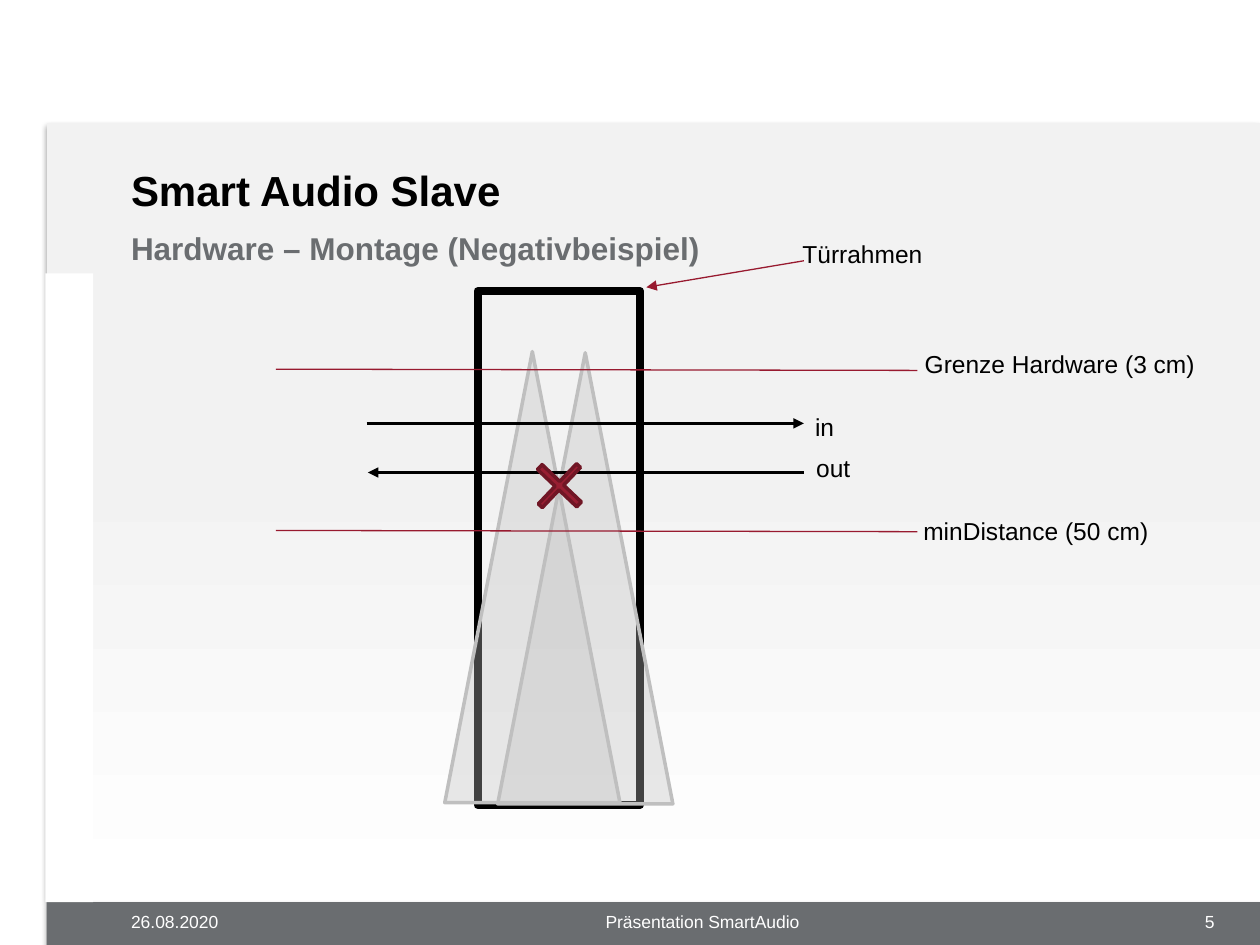
from lxml import etree
from pptx import Presentation
from pptx.dml.color import RGBColor
from pptx.enum.shapes import MSO_CONNECTOR, MSO_SHAPE
from pptx.enum.text import MSO_ANCHOR, MSO_AUTO_SIZE, PP_ALIGN
from pptx.oxml.ns import qn
from pptx.util import Inches, Pt

RECT, TRI, PLUS = MSO_SHAPE.RECTANGLE, MSO_SHAPE.ISOSCELES_TRIANGLE, MSO_SHAPE.CROSS
LINE = MSO_CONNECTOR.STRAIGHT
LEFT, MID, RIGHT = PP_ALIGN.LEFT, PP_ALIGN.CENTER, PP_ALIGN.RIGHT
TOP, LOW = MSO_ANCHOR.TOP, MSO_ANCHOR.BOTTOM
FIT = MSO_AUTO_SIZE.SHAPE_TO_FIT_TEXT

# The slide is a grid of 100 columns and 75 rows
COLS, ROWS, CELL = 100, 75, 0.1
HEX = {"black": "000000", "white": "FFFFFF", "pale": "F2F2F2", "slate": "6A6D70",
       "beam": "BFBFBF", "wine": "981A2F", "cross": "981E32", "edge": "701625"}


def grid(*cells):
    return [Inches(c * CELL) for c in cells]


def rgb(name):
    return RGBColor.from_string(HEX[name])


def sub(node, tag, **attrs):
    return etree.SubElement(node, qn(tag), attrs)


def add_shape(slide, kind, box, fill=None, line=None, width=1):
    shape = slide.shapes.add_shape(kind, *grid(*box))
    shape.shadow.inherit = False
    if fill:
        shape.fill.solid()
        shape.fill.fore_color.rgb = rgb(fill)
    else:
        shape.fill.background()
    if line:
        shape.line.color.rgb = rgb(line)
        shape.line.width = Pt(width)
    else:
        shape.line.fill.background()
    return shape


def add_panel(slide, box, fill):
    """Flat panel with a soft shadow below it."""
    panel = add_shape(slide, RECT, box, fill)
    glow = sub(panel._element.spPr.find(qn("a:effectLst")), "a:outerShdw",
               blurRad=str(Pt(3.1)), dist=str(Pt(1.8)), dir="5400000",
               algn="t", rotWithShape="0")
    sub(sub(glow, "a:srgbClr", val=HEX["black"]), "a:alpha", val="35000")
    return panel


def add_beam(slide, box):
    """See-through sensor cone."""
    beam = add_shape(slide, TRI, box, "beam", "beam", 2)
    tint = beam._element.spPr.find(qn("a:solidFill")).find(qn("a:srgbClr"))
    sub(tint, "a:alpha", val="35000")


def add_line(slide, ends, color, width, arrow=False):
    line = slide.shapes.add_connector(LINE, *grid(*ends))
    line.line.color.rgb = rgb(color)
    line.line.width = Pt(width)
    if arrow:
        sub(line.line._get_or_add_ln(), "a:tailEnd", type="triangle")
    sub(line._element.spPr, "a:effectLst")


def add_text(slide, box, text, size, color, bold=False, align=LEFT, anchor=TOP):
    """Wrapped text without side margins."""
    shape = slide.shapes.add_textbox(*grid(*box))
    frame = shape.text_frame
    frame.word_wrap = True
    frame.vertical_anchor = anchor
    frame.margin_left = frame.margin_right = 0
    par = frame.paragraphs[0]
    par.text, par.alignment = text, align
    font = par.font
    font.name, font.size, font.bold = "Arial", Pt(size), bold
    font.color.rgb = rgb(color)
    return frame


def add_label(slide, box, text):
    """Label of the drawing, as wide as its text."""
    frame = add_text(slide, box, text, 14, "black")
    frame.margin_left = frame.margin_right = Inches(0.1)
    frame.word_wrap = False
    frame.auto_size = FIT


def add_frame(slide):
    # Background panel, footer bar and white strip
    back = add_panel(slide, (3.7, 9.8, 96.3, 61.8), "pale")
    back.fill.gradient()
    back.fill.gradient_angle = 270
    for stop, (place, name) in zip(back.fill.gradient_stops,
                                   ((0.43, "pale"), (1, "white"))):
        stop.position = place
        stop.color.rgb = rgb(name)
    add_panel(slide, (3.7, 71.6, 96.3, 4), "slate")
    add_shape(slide, RECT, (3.6, 21.7, 3.8, 49.9), "white")

    # Footer texts
    for left, wide, text, align in ((10.4, 11.5, "26.08.2020", LEFT),
                                    (24.4, 62.7, "Präsentation SmartAudio", MID),
                                    (89.7, 6.7, "5", RIGHT)):
        add_text(slide, (left, 71.8, wide, 2.1), text, 10, "white", align=align)

    # Headings
    add_text(slide, (10.4, 17.5, 86, 4.2), "Hardware – Montage (Negativbeispiel)",
             18, "slate", True, anchor=LOW).paragraphs[0].space_after = Pt(8)
    add_text(slide, (10.4, 12.6, 86, 4.9), "Smart Audio Slave",
             24, "black", True, anchor=LOW).paragraphs[0].line_spacing = 0.8


def add_door(slide):
    # Door frame and the two crossing beams
    add_shape(slide, RECT, (37.9, 23.1, 12.9, 40.8), line="black", width=4.5)
    for left, top in ((35.3, 27.9), (39.5, 28)):
        add_beam(slide, (left, top, 13.9, 35.8))

    # Limits of the sensing range
    for row in (42.1, 29.3):
        add_line(slide, (21.9, row, 72.8, row + 0.1), "wine", 0.75)

    # Ways in and out
    add_line(slide, (29.1, 33.6, 63.8, 33.6), "black", 1.5, True)
    add_line(slide, (63.8, 37.5, 29.2, 37.5), "black", 1.5, True)

    # Cross where the beams meet
    cross = add_shape(slide, PLUS, (42.2, 36.4, 4.4, 4.3), "cross", "edge", 2)
    cross.adjustments[0] = 0.45
    cross.rotation = 313.6

    # Pointer and labels
    add_line(slide, (63.8, 20.7, 51.3, 22.8), "wine", 0.75, True)
    for left, top, wide, text in ((72.3, 40.5, 20, "minDistance (50 cm)"),
                                  (72.4, 27.2, 23.5, "Grenze Hardware (3 cm)"),
                                  (63.7, 32.2, 3.5, "in"),
                                  (63.8, 35.5, 4.7, "out"),
                                  (62.7, 18.5, 11.6, "Türrahmen")):
        add_label(slide, (left, top, wide, 3.4), text)


def main():
    deck = Presentation()
    deck.slide_width, deck.slide_height = grid(COLS, ROWS)
    slide = deck.slides.add_slide(deck.slide_layouts[6])
    add_frame(slide)
    add_door(slide)
    deck.save("out.pptx")


if __name__ == "__main__":
    main()
